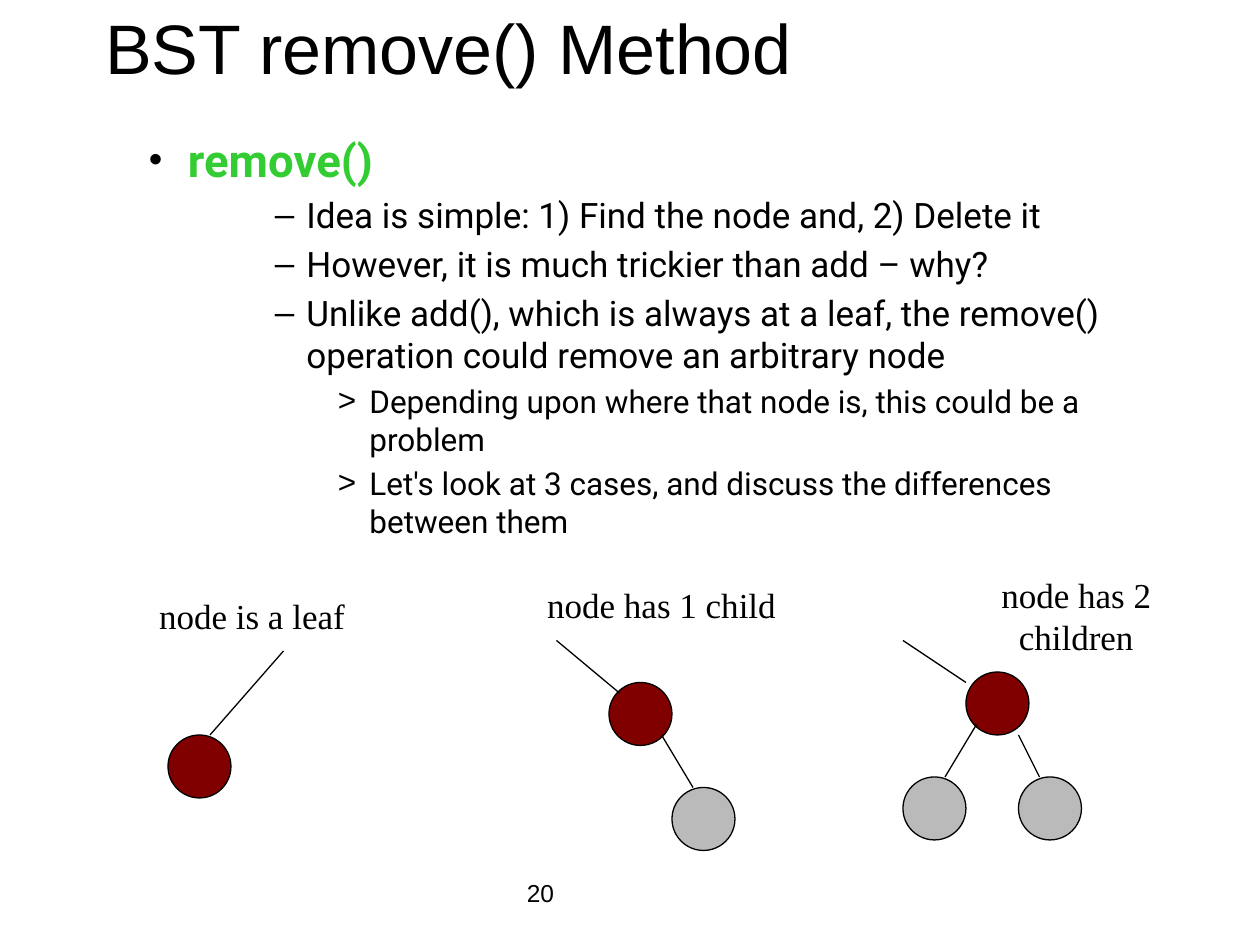
from typing import NamedTuple

from lxml.etree import SubElement
from pptx import Presentation
from pptx.dml.color import RGBColor
from pptx.enum.shapes import MSO_CONNECTOR, MSO_SHAPE
from pptx.enum.text import MSO_ANCHOR, PP_ALIGN
from pptx.oxml.ns import qn
from pptx.util import Inches, Pt

UNIT = Inches(1) / 12  # the grid has 120 columns and 90 rows
NODE_SIZE = 6
BLACK, GREEN, MAROON, GRAY = "000000", "33CC33", "800000", "777777"


class Area(NamedTuple):
    column: float
    row: float
    width: float
    height: float


class Node(NamedTuple):
    column: int
    row: int
    color: str = GRAY
    opacity: int = 50


class Edge(NamedTuple):
    start: tuple[int, int]
    end: tuple[int, int]


class Case(NamedTuple):
    label: str
    area: Area
    nodes: list[Node]
    edges: list[Edge]


class Level(NamedTuple):
    number: int
    bullet: str
    bullet_percent: int
    margin: float
    hanging: float
    before: float
    font: dict


TOPIC = Level(1, "•", 85, 0.81, 0.31, 2,
              {"name": "Roboto", "size": Pt(26), "bold": True})
POINT = Level(3, "–", 100, 1.75, 0.25, 4, {"name": "Roboto", "size": Pt(20)})
DETAIL = Level(4, ">", 100, 2.25, 0.25, 3.6, {"name": "Roboto", "size": Pt(18)})

OUTLINE = [
    (TOPIC, "remove()", GREEN),
    (POINT, "Idea is simple: 1) Find the node and, 2) Delete it", BLACK),
    (POINT, "However, it is much trickier than add – why?", BLACK),
    (POINT, "Unlike add(), which is always at a leaf, the remove() "
            "operation could remove an arbitrary node", BLACK),
    (DETAIL, "Depending upon where that node is, this could be a problem", BLACK),
    (DETAIL, "Let's look at 3 cases, and discuss the differences between them", BLACK),
]

CASES = [
    Case("node is a leaf", Area(10, 56, 28, 5.2),
         [Node(16, 70, MAROON, 100)],
         [Edge((20, 70), (27, 62))]),
    Case("node has 1 child", Area(49, 55, 28, 5.2),
         [Node(64, 75), Node(58, 65, MAROON, 100)],
         [Edge((53, 61), (59, 66)), Edge((63, 70), (66, 75))]),
    Case("node has 2 children", Area(90, 54, 25, 9.2),
         [Node(92, 64, MAROON, 100), Node(97, 74), Node(86, 74)],
         [Edge((93, 69), (90, 74)), Edge((97, 70), (99, 74)),
          Edge((92, 65), (86, 61))]),
]


def grid(*cells: float) -> list[int]:
    return [round(cell * UNIT) for cell in cells]


def paint(color_format, color: str) -> None:
    color_format.rgb = RGBColor.from_string(color)


def set_line(line) -> None:
    line.width = Pt(0.75)
    paint(line.color, BLACK)


def write(para, text: str, color: str, font: dict) -> None:
    span = para.add_run()
    span.text = text
    for name, value in font.items():
        setattr(span.font, name, value)
    paint(span.font.color, color)


def add_box(page, area: Area, anchor=MSO_ANCHOR.TOP):
    frame = page.shapes.add_textbox(*grid(*area)).text_frame
    frame.word_wrap = True
    frame.vertical_anchor = anchor
    return frame


def add_bullet(para, level: Level) -> None:
    properties = para._p.get_or_add_pPr()
    properties.set("marL", str(Inches(level.margin)))
    properties.set("indent", str(-Inches(level.hanging)))
    color = SubElement(properties, qn("a:buClr"))
    SubElement(color, qn("a:srgbClr"), val=BLACK)
    SubElement(properties, qn("a:buSzPct"), val=str(level.bullet_percent * 1000))
    SubElement(properties, qn("a:buFont"), typeface="Arial")
    SubElement(properties, qn("a:buChar"), char=level.bullet)


def add_outline(page, area: Area) -> None:
    frame = add_box(page, area)
    for index, (level, text, color) in enumerate(OUTLINE):
        para = frame.add_paragraph() if index else frame.paragraphs[0]
        para.level = level.number
        para.space_before = Pt(level.before)
        add_bullet(para, level)
        write(para, text, color, level.font)


def add_node(page, node: Node) -> None:
    circle = page.shapes.add_shape(
        MSO_SHAPE.OVAL, *grid(node.column, node.row, NODE_SIZE, NODE_SIZE))
    circle.shadow.inherit = False
    circle.fill.solid()
    paint(circle.fill.fore_color, node.color)
    if node.opacity < 100:
        color = circle._element.spPr.find(f"{qn('a:solidFill')}/{qn('a:srgbClr')}")
        SubElement(color, qn("a:alpha"), val=str(node.opacity * 1000))
    set_line(circle.line)


def add_edge(page, edge: Edge) -> None:
    connector = page.shapes.add_connector(
        MSO_CONNECTOR.STRAIGHT, *grid(*edge.start, *edge.end))
    set_line(connector.line)
    SubElement(connector._element.spPr, qn("a:effectLst"))


def add_case(page, case: Case) -> None:
    for node in case.nodes:
        add_node(page, node)
    for edge in case.edges:
        add_edge(page, edge)
    para = add_box(page, case.area).paragraphs[0]
    para.alignment = PP_ALIGN.CENTER
    write(para, case.label, BLACK, {"name": "Times New Roman", "size": Pt(20)})


def main() -> None:
    deck = Presentation()
    deck.slide_width, deck.slide_height = grid(120, 90)
    page = deck.slides.add_slide(deck.slide_layouts[6])

    number = add_box(page, Area(49, 82, 25, 6), MSO_ANCHOR.MIDDLE)
    write(number.paragraphs[0], "20", BLACK, {"name": "Arial", "size": Pt(14)})

    title = add_box(page, Area(7, 3.4, 106, 4), MSO_ANCHOR.MIDDLE).paragraphs[0]
    title.line_spacing = 0.7
    write(title, " BST remove() Method", BLACK, {"name": "Arial", "size": Pt(40)})

    add_outline(page, Area(7, 12, 106, 66))
    for case in CASES:
        add_case(page, case)
    deck.save("out.pptx")


if __name__ == "__main__":
    main()
